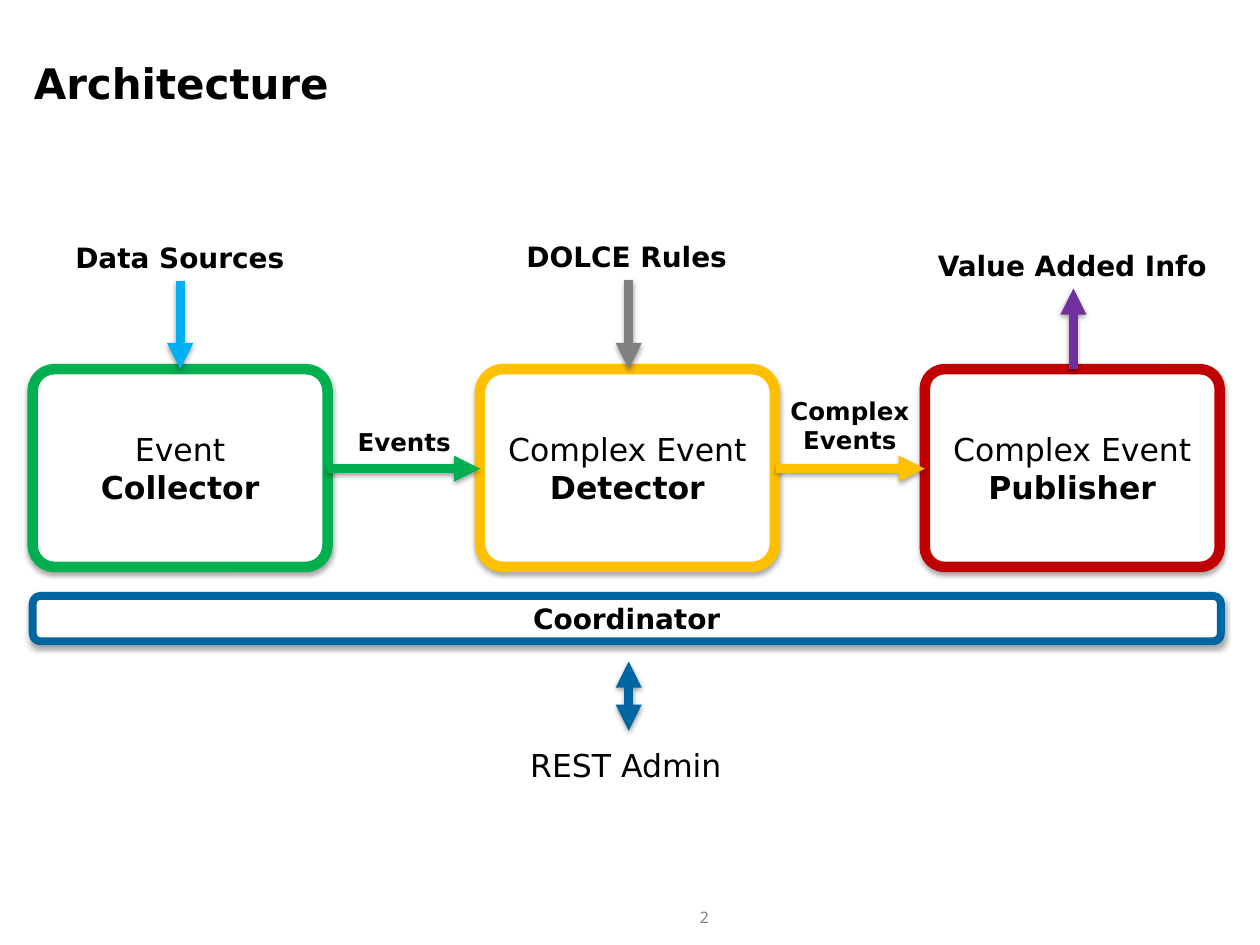
"""Build the architecture slide: collector, detector and publisher above a coordinator."""
from lxml import etree
from pptx import Presentation
from pptx.dml.color import RGBColor
from pptx.enum.shapes import MSO_CONNECTOR, MSO_SHAPE
from pptx.enum.text import MSO_ANCHOR, PP_ALIGN
from pptx.oxml import parse_xml
from pptx.oxml.ns import qn
from pptx.util import Inches, Pt

ROUNDED = MSO_SHAPE.ROUNDED_RECTANGLE
STRAIGHT = MSO_CONNECTOR.STRAIGHT
TOP, MIDDLE = MSO_ANCHOR.TOP, MSO_ANCHOR.MIDDLE
LEFT, CENTER = PP_ALIGN.LEFT, PP_ALIGN.CENTER
THEME = {
    "font": "DejaVu Sans", "number_font": "Noto Sans",
    "title": 24, "box": 18, "label": 16, "flow": 14, "number": 9,
    "black": "000000", "white": "FFFFFF", "muted": "818181",
    "green": "00B050", "yellow": "FFC000", "red": "C00000", "blue": "0066A1",
    "sky": "00B0F0", "purple": "7030A0", "gray": "808080",
}


def add_text(tf, runs, size, align=CENTER, anchor=MIDDLE, font="font", color="black"):
    tf.vertical_anchor = anchor
    p = tf.paragraphs[0]
    p.alignment = align
    for text, bold in runs:
        for i, line in enumerate(text.split("\n")):
            if i:
                p.add_line_break()
            r = p.add_run()
            r.text = line
            r.font.name = THEME[font]
            r.font.size = Pt(THEME[size])
            r.font.bold = bold
            r.font.color.rgb = RGBColor.from_string(THEME[color])


def add_shadow(sp, distance, opacity):
    sp._element.spPr.append(parse_xml(
        '<a:effectLst xmlns:a="http://schemas.openxmlformats.org/drawingml/2006/main">'
        f'<a:outerShdw blurRad="{Pt(3.1)}" dist="{Pt(distance)}" dir="5400000" rotWithShape="0">'
        f'<a:srgbClr val="{THEME["black"]}"><a:alpha val="{opacity * 1000}"/></a:srgbClr>'
        '</a:outerShdw></a:effectLst>'))


prs = Presentation()
prs.slide_width, prs.slide_height = Inches(10), Inches(7.5)
s = prs.slides.add_slide(prs.slide_layouts[6])

box_w, box_h, box_y = 2.34, 1.57, 2.93
boxes = [
    (0.26, box_y, box_w, box_h, 0.11, "green", 6, "box", [("Event", False), (" Collector", True)]),
    (3.81, box_y, box_w, box_h, 0.119, "yellow", 6, "box", [("Complex Event ", False), ("Detector", True)]),
    (7.34, box_y, box_w, box_h, 0.1, "red", 6, "box", [("Complex Event ", False), ("Publisher", True)]),
    (0.26, 4.73, 9.43, 0.36, 0.167, "blue", 4.5, "label", [("Coordinator", True)]),
]
for x, y, w, h, radius, color, weight, size, runs in boxes:
    sp = s.shapes.add_shape(ROUNDED, Inches(x), Inches(y), Inches(w), Inches(h))
    sp.adjustments[0] = radius
    sp.fill.solid()
    sp.fill.fore_color.rgb = RGBColor.from_string(THEME["white"])
    sp.line.color.rgb = RGBColor.from_string(THEME[color])
    sp.line.width = Pt(weight)
    add_shadow(sp, 1.8, 35)
    sp.text_frame.word_wrap = True
    add_text(sp.text_frame, runs, size)

flow_y = 3.72
arrows = [
    (4.99, 5.25, 4.99, 5.8, "blue", ["headEnd", "tailEnd"]),
    (1.43, 2.23, 1.43, box_y, "sky", ["tailEnd"]),
    (8.52, 2.29, 8.52, box_y, "purple", ["headEnd"]),
    (2.6, flow_y, 3.81, flow_y, "green", ["tailEnd"]),
    (6.16, flow_y, 7.34, flow_y, "yellow", ["tailEnd"]),
    (4.99, 2.22, 4.99, box_y, "gray", ["tailEnd"]),
]
for x1, y1, x2, y2, color, ends in arrows:
    sp = s.shapes.add_connector(STRAIGHT, Inches(x1), Inches(y1), Inches(x2), Inches(y2))
    sp.line.color.rgb = RGBColor.from_string(THEME[color])
    sp.line.width = Pt(5)
    for end in ends:
        etree.SubElement(sp.line._get_or_add_ln(), qn(f"a:{end}"), type="triangle")
    add_shadow(sp, 1.6, 38)

labels = [
    (0.17, 0.41, 6.76, 0.83, "Architecture", "title", True, LEFT, True),
    (4.11, 5.87, 1.76, 0.4, "REST Admin", "box", False, LEFT, False),
    (0.5, 1.86, 1.87, 0.37, "Data Sources", "label", True, LEFT, False),
    (4.08, 1.85, 1.81, 0.37, "DOLCE Rules", "label", True, LEFT, False),
    (7.34, 1.92, 2.34, 0.37, "Value Added Info", "label", True, CENTER, True),
    (2.74, 3.34, 0.94, 0.34, "Events", "flow", True, LEFT, False),
    (6.17, 3.09, 1.15, 0.57, "Complex\nEvents", "flow", True, CENTER, False),
]
for x, y, w, h, text, size, bold, align, wrap in labels:
    tf = s.shapes.add_textbox(Inches(x), Inches(y), Inches(w), Inches(h)).text_frame
    tf.word_wrap = wrap
    if align == CENTER:
        tf.margin_left = tf.margin_right = Inches(0.04)
    add_text(tf, [(text, bold)], size, align, TOP)

tf = s.shapes.add_textbox(Inches(5.25), Inches(7.15), Inches(0.68), Inches(0.26)).text_frame
tf.word_wrap = True
add_text(tf, [("2", False)], "number", font="number_font", color="muted")
tf.paragraphs[0].space_before = Pt(4.6)

prs.save("out.pptx")
